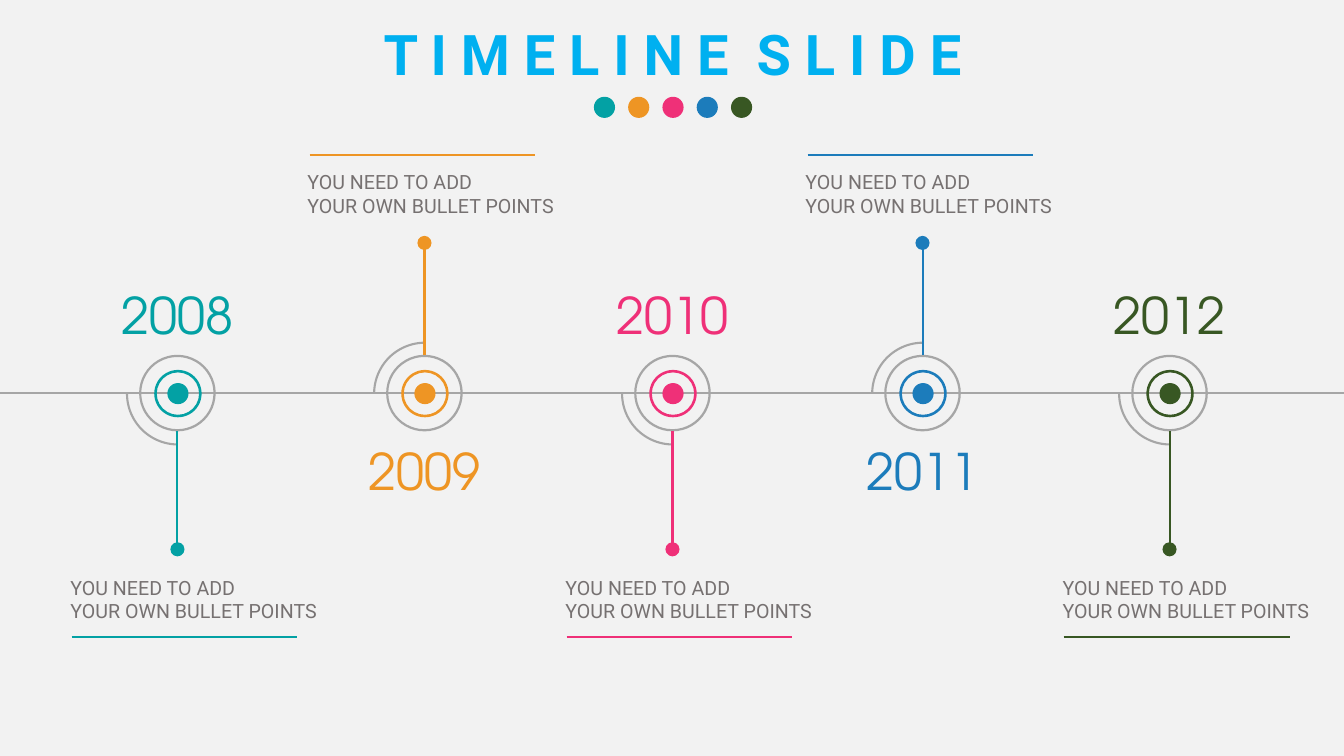
from itertools import pairwise

from lxml import etree
from pptx import Presentation
from pptx.dml.color import RGBColor
from pptx.enum.shapes import MSO_CONNECTOR, MSO_SHAPE
from pptx.enum.text import MSO_ANCHOR, MSO_AUTO_SIZE, PP_ALIGN
from pptx.oxml.ns import qn
from pptx.util import Pt

PX = 9144
WIDTH, HEIGHT = 1333, 750

STRAIGHT = MSO_CONNECTOR.STRAIGHT
ARC, DONUT, OVAL = MSO_SHAPE.ARC, MSO_SHAPE.DONUT, MSO_SHAPE.OVAL
LEFT, CENTER = PP_ALIGN.LEFT, PP_ALIGN.CENTER
TOP, MIDDLE = MSO_ANCHOR.TOP, MSO_ANCHOR.MIDDLE
GROW = MSO_AUTO_SIZE.SHAPE_TO_FIT_TEXT

BACKGROUND = RGBColor(0xF2, 0xF2, 0xF2)
GRAY = RGBColor(0xA6, 0xA6, 0xA6)
TEXT_GRAY = RGBColor(0x76, 0x71, 0x71)
SKY = RGBColor(0x00, 0xB0, 0xF0)
TEAL = RGBColor(0x03, 0xA1, 0xA4)
ORANGE = RGBColor(0xEE, 0x95, 0x24)
PINK = RGBColor(0xEF, 0x30, 0x78)
BLUE = RGBColor(0x1C, 0x7C, 0xBB)
GREEN = RGBColor(0x38, 0x57, 0x23)

BODY_FONT = "Roboto"
YEAR_FONT = "TeX Gyre Adventor"
CAPTION = "YOU NEED TO ADD\nYOUR OWN BULLET POINTS"

AXIS_Y = 390
AXIS_JOINT = 6
MILESTONES = [
    ("2008", 176, TEAL),
    ("2009", 421, ORANGE),
    ("2010", 667, PINK),
    ("2011", 915, BLUE),
    ("2012", 1160, GREEN),
]


def emu(*lengths):
    return [n * PX for n in lengths]


def add_line(s, x1, y1, x2, y2, color):
    line = s.shapes.add_connector(STRAIGHT, *emu(x1, y1, x2, y2))
    line.line.color.rgb = color
    line.line.width = Pt(1.5)
    etree.SubElement(line._element.spPr, qn("a:effectLst"))


def add_round(shapes, kind, cx, cy, size, color, thickness=None):
    left, top = cx - size // 2, cy - size // 2
    sp = shapes.add_shape(kind, *emu(left, top, size, size))
    sp.shadow.inherit = False
    sp.fill.solid()
    sp.fill.fore_color.rgb = color
    sp.line.fill.background()
    if thickness:
        sp.adjustments[0] = thickness


def add_quarter(s, cx, cy, rotation):
    size = 101
    sp = s.shapes.add_shape(ARC, *emu(cx - size // 2, cy - size // 2, size, size))
    sp.adjustments[0], sp.adjustments[1] = 54.204, 108.533
    sp.rotation = rotation
    sp.shadow.inherit = False
    sp.fill.background()
    sp.line.color.rgb = GRAY
    sp.line.width = Pt(1.5)


def write(sp, text, font, size, color, align=LEFT, anchor=TOP, bold=False):
    tf = sp.text_frame
    tf.word_wrap = True
    tf.auto_size = GROW
    tf.vertical_anchor = anchor
    tf.text = text
    for p in tf.paragraphs:
        p.alignment = align
        for r in p.runs:
            r.font.name = font
            r.font.size = Pt(size)
            r.font.bold = bold
            r.font.color.rgb = color


def add_text(s, x, y, w, h, *style):
    write(s.shapes.add_textbox(*emu(x, y, w, h)), *style)


def add_heading(s, x, y, w, h):
    title = s.shapes.title
    title.left, title.top, title.width, title.height = emu(x, y, w, h)
    write(title, "T I M E L I N E  S L I D E", BODY_FONT, 40, SKY, CENTER, MIDDLE, True)
    dots = s.shapes.add_group_shape()
    middle = x + w // 2
    for i, (_, _, color) in enumerate(MILESTONES):
        add_round(dots.shapes, OVAL, middle + 34 * (i - 2), y + 92, 21, color)


def add_axis(s, x, y, w):
    joints = [cx + AXIS_JOINT for _, cx, _ in MILESTONES]
    for start, end in pairwise([x, *joints, x + w]):
        add_line(s, start, y, end, y, GRAY)


def add_milestone(s, cx, cy, year, color, upward):
    add_quarter(s, cx, cy, 90 if upward else 0)
    add_round(s.shapes, OVAL, cx, cy, 21, color)
    add_round(s.shapes, DONUT, cx, cy, 47, color, 0.053)
    add_round(s.shapes, DONUT, cx, cy, 76, GRAY, 0.029)

    if upward:
        direction, tip_y, year_y = -1, cy - 149, cy + 42
        caption_x, caption_y = cx - 126, cy - 226
        rule_x, rule_y = cx - 114, cy - 236
    else:
        direction, tip_y, year_y = 1, cy + 155, cy - 113
        caption_x, caption_y = cx - 116, cy + 176
        rule_x, rule_y = cx - 105, cy + 242

    add_line(s, cx, cy + 151 * direction, cx, cy + 38 * direction, color)
    add_round(s.shapes, OVAL, cx, tip_y, 14, color)
    add_text(s, cx - 83, year_y, 166, 71, year, YEAR_FONT, 36, color, CENTER)
    add_text(s, caption_x, caption_y, 350, 57, CAPTION, BODY_FONT, 14, TEXT_GRAY)
    add_line(s, rule_x, rule_y, rule_x + 224, rule_y, color)


def main():
    prs = Presentation()
    prs.slide_width, prs.slide_height = emu(WIDTH, HEIGHT)
    s = prs.slides.add_slide(prs.slide_layouts[5])
    s.background.fill.solid()
    s.background.fill.fore_color.rgb = BACKGROUND

    add_axis(s, 0, AXIS_Y, WIDTH)
    for i, (year, cx, color) in enumerate(MILESTONES):
        add_milestone(s, cx, AXIS_Y, year, color, upward=i % 2 == 1)
    add_heading(s, 269, 14, 796, 77)

    prs.save("out.pptx")


if __name__ == "__main__":
    main()
